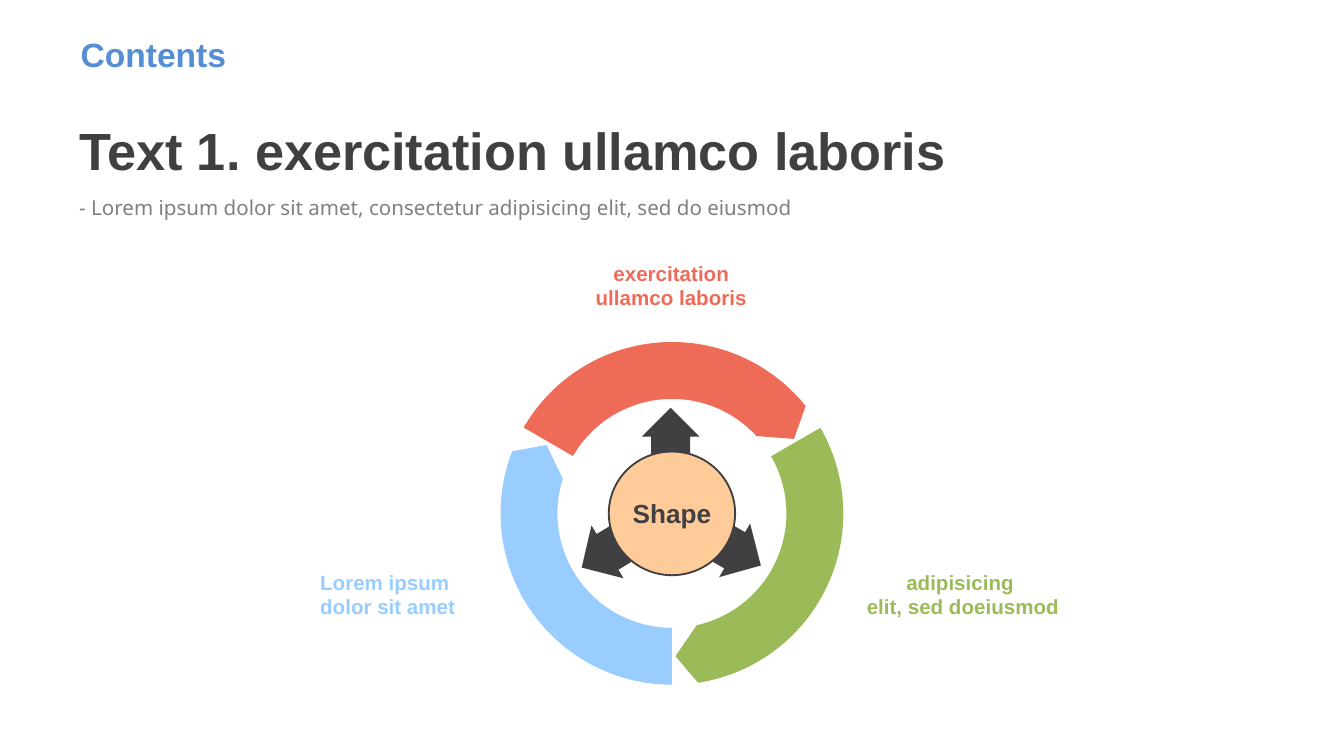
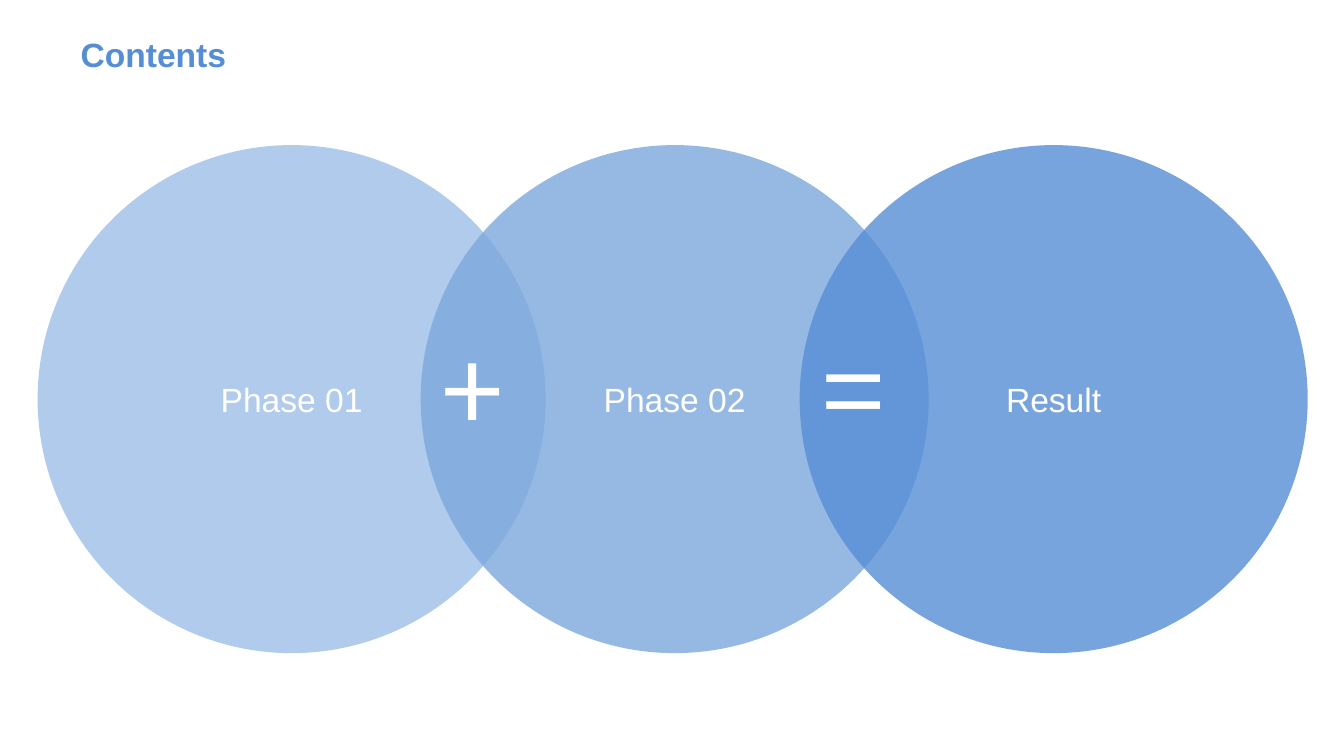
from math import cos, radians, sin

from lxml.etree import SubElement
from pptx import Presentation
from pptx.dml.color import RGBColor
from pptx.enum.shapes import MSO_SHAPE
from pptx.enum.text import MSO_ANCHOR, MSO_AUTO_SIZE, PP_ALIGN
from pptx.oxml.ns import qn
from pptx.util import Inches, Pt

# Shared grid: 100 columns across a 16:9 slide, square cells
WIDTH = Inches(10)
HEIGHT = WIDTH * 9 // 16
CELL = WIDTH / 100

# Shared colours and fonts
BLUE, DARK, GREY, WHITE = "558ED5", "404042", "808080", "FFFFFF"
SKY, CORAL, GREEN, PEACH = "99CCFF", "EE6B58", "9BBB59", "FFCC99"
ARIAL, NOTO, NOTO_KR = "Arial", "Noto Sans", "Noto Sans CJK KR"


def grid(*cells):
    return [round(c * CELL) for c in cells]


def rgb(color):
    return RGBColor.from_string(color)


def write(shape, lines, size, color, font=ARIAL, bold=False,
          align=PP_ALIGN.LEFT, anchor=MSO_ANCHOR.MIDDLE, wrap=True, grow=False):
    """Fill a shape with one formatted run per paragraph."""
    tf = shape.text_frame
    tf.word_wrap = wrap
    tf.auto_size = MSO_AUTO_SIZE.SHAPE_TO_FIT_TEXT if grow else MSO_AUTO_SIZE.NONE
    tf.vertical_anchor = anchor
    for i, line in enumerate(lines):
        p = tf.paragraphs[0] if i == 0 else tf.add_paragraph()
        p.alignment = align
        r = p.add_run()
        r.text = line
        r.font.name, r.font.size, r.font.bold = font, Pt(size), bold
        r.font.color.rgb = rgb(color)


def add_text(s, box, lines, size, color, **style):
    write(s.shapes.add_textbox(*grid(*box)), lines, size, color, **style)


def add_preset(shapes, kind, box, fill, rotation=0, adjust=(), line=None, alpha=None):
    sp = shapes.add_shape(kind, *grid(*box))
    sp.shadow.inherit = False
    sp.rotation = rotation
    for i, value in enumerate(adjust):
        sp.adjustments[i] = value
    sp.fill.solid()
    sp.fill.fore_color.rgb = rgb(fill)
    if alpha is not None:
        clr = sp.fill._xPr.find(qn("a:solidFill"))[0]
        SubElement(clr, qn("a:alpha")).set("val", str(alpha * 1000))
    if line:
        sp.line.color.rgb = rgb(line)
        sp.line.width = Pt(1)
    else:
        sp.line.fill.background()
    return sp


def add_titled_slide(prs, title_width):
    s = prs.slides.add_slide(prs.slide_layouts[5])
    title = s.shapes.title
    title.left, title.top, title.width, title.height = grid(5, 2.3, title_width, 3.45)
    write(title, ["Contents"], 18, BLUE, bold=True)
    return s


def add_spokes(s, cx, cy, radius):
    """Three arrows pointing outwards from the hub."""
    for angle, w, h in ((120, 4.6, 4.5), (0, 4.3, 4.7), (238.7, 4.6, 4.5)):
        x = cx + radius * sin(radians(angle))
        y = cy - radius * cos(radians(angle))
        add_preset(s.shapes, MSO_SHAPE.UP_ARROW, (x - w / 2, y - h / 2, w, h),
                   DARK, angle, (0.675, 0.5))


def add_ring(s, cx, cy, size):
    """Three curved arrows, a third of a turn apart."""
    group = s.shapes.add_group_shape()
    for i, color in enumerate((SKY, CORAL, GREEN)):
        add_preset(group.shapes, MSO_SHAPE.CIRCULAR_ARROW,
                   (cx - size / 2, cy - size / 2, size, size), color,
                   19.1 + 120 * i, (0.312, 5.316, 108.391, 42.566, 0.083))


def add_hub(s, cx, cy):
    w, h = 9.4, 9.2
    hub = add_preset(s.shapes, MSO_SHAPE.OVAL, (cx - w / 2, cy - h / 2, w, h),
                     PEACH, line=DARK)
    tf = hub.text_frame
    tf.margin_left = tf.margin_right = Inches(0.01)
    tf.margin_top = tf.margin_bottom = 0
    write(hub, ["Shape"], 14, DARK, bold=True, align=PP_ALIGN.CENTER, wrap=False)


def build_cycle(prs):
    s = add_titled_slide(prs, 38.7)
    add_text(s, (4.9, 6.9, 90, 8.5), ["Text 1. exercitation ullamco laboris"],
             28, DARK, bold=True, wrap=False)
    add_text(s, (4.9, 14, 59.8, 2.8),
             ["- Lorem ipsum dolor sit amet, consectetur adipisicing elit, sed do eiusmod"],
             11, GREY, font=NOTO, wrap=False)

    # Cycle diagram
    cx, cy = 50, 38.2
    add_spokes(s, cx - 0.1, cy, 5.5)
    add_ring(s, cx, cy, 25.5)
    add_hub(s, cx, cy)

    # Labels around the ring
    labels = (
        ((41.8, 18.9, 16.3, 4.7), ["exercitation ullamco laboris"], CORAL),
        ((20.3, 41.9, 17.1, 4.7), ["Lorem ipsum ", "dolor sit amet"], SKY),
        ((62.6, 41.9, 18.1, 4.7), ["adipisicing ", "elit, sed doeiusmod"], GREEN),
    )
    for box, lines, color in labels:
        add_text(s, box, lines, 11, color, bold=True, align=PP_ALIGN.CENTER,
                 anchor=MSO_ANCHOR.TOP, grow=True)


def build_phases(prs):
    s = add_titled_slide(prs, 62.1)

    # Overlapping circles
    phases = (("Phase 01", 2.8, "9DBEE7"), ("Phase 02", 31.3, "7CA8DE"),
              ("Result", 59.5, BLUE))
    for name, left, color in phases:
        circle = add_preset(s.shapes, MSO_SHAPE.OVAL, (left, 10.8, 37.8, 37.8),
                            color, alpha=80)
        write(circle, [name], 18, WHITE, align=PP_ALIGN.CENTER)

    # Signs on the overlaps
    for sign, left in (("+", 31.9), ("=", 60.2)):
        add_text(s, (left, 23.4, 7.9, 11.1), [sign], 60, WHITE, font=NOTO_KR,
                 anchor=MSO_ANCHOR.TOP, wrap=False, grow=True)


def main():
    prs = Presentation()
    prs.slide_width, prs.slide_height = WIDTH, HEIGHT
    build_cycle(prs)
    build_phases(prs)
    prs.save("out.pptx")


main()
